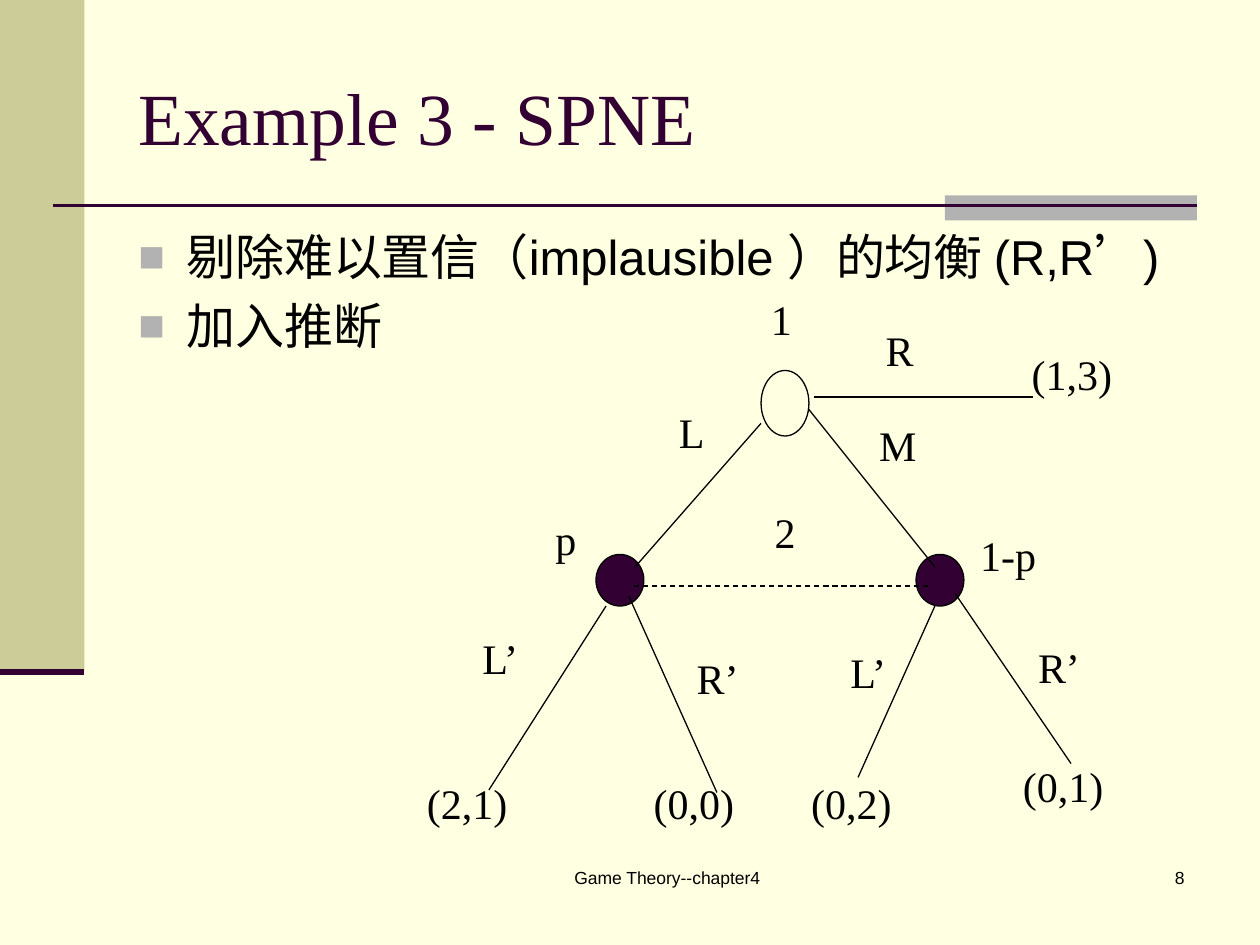
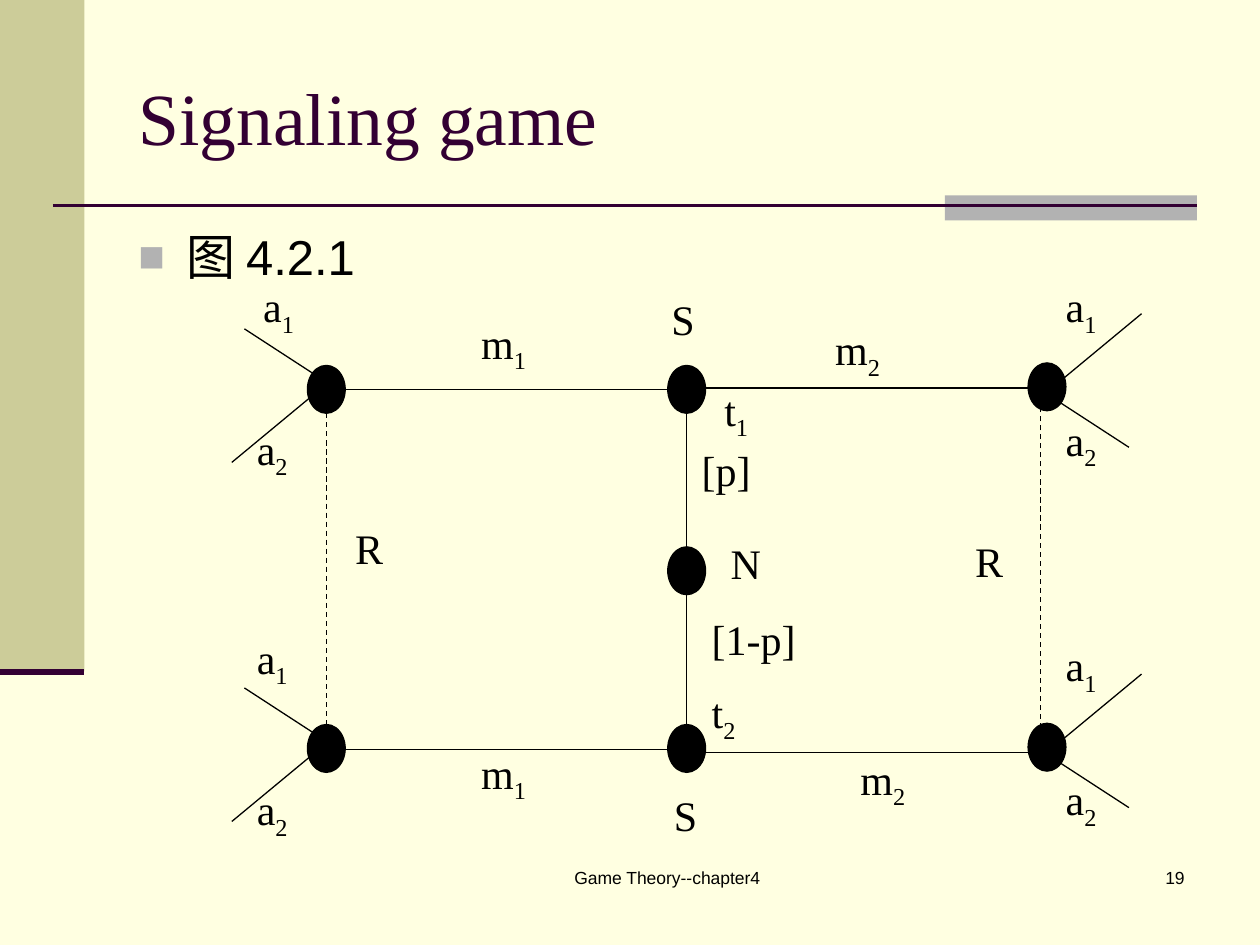
from dataclasses import dataclass

from lxml import etree
from pptx import Presentation
from pptx.dml.color import RGBColor
from pptx.enum.dml import MSO_LINE
from pptx.enum.shapes import MSO_CONNECTOR, MSO_SHAPE
from pptx.enum.text import MSO_ANCHOR, MSO_AUTO_SIZE, PP_ALIGN
from pptx.oxml.ns import qn
from pptx.util import Pt

EMU_PER_PX = 9144
STRAIGHT = MSO_CONNECTOR.STRAIGHT
RECTANGLE, ELLIPSE = MSO_SHAPE.RECTANGLE, MSO_SHAPE.OVAL
DASH = MSO_LINE.DASH
MIDDLE, TOP = MSO_ANCHOR.MIDDLE, MSO_ANCHOR.TOP
LEFT, CENTER, RIGHT = PP_ALIGN.LEFT, PP_ALIGN.CENTER, PP_ALIGN.RIGHT
FIT_SHAPE = MSO_AUTO_SIZE.SHAPE_TO_FIT_TEXT

CREAM, KHAKI, GREY = "FFFFE1", "CCCC99", "B2B2B2"
PLUM, BLACK = "330033", "000000"

TITLE = {"name": "Times New Roman", "size": Pt(42), "color": PLUM}
BODY = {"name": "Arial", "size": Pt(28), "color": BLACK}
FOOTER = {"name": "Arial", "size": Pt(10), "color": BLACK}
LABEL = {"name": "Times New Roman", "size": Pt(24), "color": BLACK}
SUBSCRIPT = "-25000"
LABEL_HEIGHT = 50
BULLET_INDENT = 38


@dataclass
class Box:
    """A region of the slide, in px."""
    left: int
    top: int
    width: int
    height: int

    def inner(self, x, y, width, height):
        """Return a box placed relative to this one."""
        return Box(self.left + x, self.top + y, width, height)

    def emu(self):
        """Return left, top, width and height in EMU."""
        return [px(value) for value in (self.left, self.top, self.width, self.height)]


PAGE = Box(0, 0, 1000, 750)
TITLE_BOX = Box(100, 30, 850, 125)
BODY_BOX = Box(100, 175, 850, 495)
FOOTER_BOX = Box(367, 683, 583, 50)
TREE_BOX = Box(329, 228, 564, 434)
SIGNALING_BOX = Box(184, 218, 722, 454)

TREE_NODES = [(275, 66, 52, None), (144, 212, 41, PLUM), (398, 212, 41, PLUM)]
TREE_LINES = [
    ((275, 108), (175, 222)), ((313, 97), (413, 222)), ((317, 87), (491, 87)),
    ((152, 253), (59, 399)), ((170, 245), (240, 401)),
    ((413, 253), (352, 389)), ((429, 243), (521, 378)),
]
INFORMATION_SET = ((174, 237), (409, 237))
TREE_LABELS = [
    ("1", 273, 0, 37), ("2", 276, 169, 37), ("p", 102, 175, 37), ("1-p", 439, 187, 65),
    ("L", 200, 90, 40), ("M", 359, 100, 50), ("R", 364, 25, 42),
    ("L’", 44, 269, 52), ("R’", 214, 285, 53), ("L’", 336, 280, 52), ("R’", 485, 276, 53),
    ("(2,1)", 0, 384, 84), ("(0,0)", 180, 384, 84), ("(0,2)", 305, 384, 84),
    ("(0,1)", 473, 371, 84), ("(1,3)", 480, 44, 84),
]

NODE_WIDTH, NODE_HEIGHT = 30, 38
SENDER_NODES = [(346, 72), (346, 216), (346, 357)]
LEFT_RECEIVERS = [(60, 72), (60, 357)]
RIGHT_RECEIVERS = [(632, 70), (632, 356)]
ACTION_BRANCHES = [((-50, -29), (10, 10)), ((10, 19), (-60, 77))]
MESSAGE_LINES = [
    ((351, 91), (80, 91)), ((351, 377), (80, 377)),
    ((371, 90), (642, 90)), ((371, 379), (652, 379)), ((361, 110), (361, 360)),
]
RECEIVER_SETS = [((75, 110), (75, 370)), ((642, 360), (642, 101))]
SIGNALING_LABELS = [
    ("S", 339, 10, 39), ("S", 341, 404, 39), ("N", 386, 204, 52),
    ("[p]", 363, 130, 59), ("[1-p]", 371, 264, 87), ("t_1", 381, 82, 40), ("t_2", 371, 322, 40),
    ("R", 88, 192, 42), ("R", 580, 202, 42),
    ("m_1", 188, 29, 57), ("m_1", 188, 370, 57), ("m_2", 469, 34, 57), ("m_2", 489, 375, 57),
    ("a_1", 15, 0, 46), ("a_2", 10, 113, 46), ("a_1", 10, 279, 46), ("a_2", 10, 399, 46),
    ("a_1", 652, 0, 46), ("a_2", 652, 106, 46), ("a_1", 652, 285, 46), ("a_2", 652, 391, 46),
]


def px(value):
    """Turn px into EMU."""
    return value * EMU_PER_PX


def rgb(value):
    """Turn a hex string into a colour."""
    return RGBColor.from_string(value)


def add_run(paragraph, text, style):
    """Append a run with the given font style."""
    run = paragraph.add_run()
    run.text = text
    for name, value in style.items():
        if name == "color":
            run.font.color.rgb = rgb(value)
        else:
            setattr(run.font, name, value)
    return run


def add_text_frame(shapes, box, **settings):
    """Add a text box and return its wrapping text frame."""
    frame = shapes.add_textbox(*box.emu()).text_frame
    for name, value in {"word_wrap": True, "vertical_anchor": TOP, **settings}.items():
        setattr(frame, name, value)
    return frame


def add_text(shapes, box, text, style, alignment=LEFT, anchor=TOP):
    """Add a text box with one paragraph."""
    paragraph = add_text_frame(shapes, box, vertical_anchor=anchor).paragraphs[0]
    paragraph.alignment = alignment
    add_run(paragraph, text, style)


def add_label(shapes, box, text):
    """Add a diagram label; what follows an underscore is a subscript."""
    frame = add_text_frame(shapes, box, word_wrap=False, auto_size=FIT_SHAPE)
    base, _, index = text.partition("_")
    add_run(frame.paragraphs[0], base, LABEL)
    if index:
        run = add_run(frame.paragraphs[0], index, LABEL)
        run._r.get_or_add_rPr().set("baseline", SUBSCRIPT)


def add_figure(shapes, kind, box, fill, line=None):
    """Add a preset shape with an optional fill and outline."""
    shape = shapes.add_shape(kind, *box.emu())
    shape.shadow.inherit = False
    if fill:
        shape.fill.solid()
        shape.fill.fore_color.rgb = rgb(fill)
    else:
        shape.fill.background()
    if line:
        shape.line.color.rgb = rgb(line)
        shape.line.width = Pt(0.75)
    else:
        shape.line.fill.background()


def add_line(shapes, box, start, end, color=BLACK, width=0.75, dash=None):
    """Add a straight line between two points of the box."""
    points = [px(value) for x, y in (start, end) for value in (box.left + x, box.top + y)]
    connector = shapes.add_connector(STRAIGHT, *points)
    connector.line.color.rgb = rgb(color)
    connector.line.width = Pt(width)
    if dash:
        connector.line.dash_style = dash
    etree.SubElement(connector._element.spPr, qn("a:effectLst"))


def add_bullet(paragraph):
    """Give the paragraph a grey square bullet and a hanging indent."""
    properties = paragraph._p.get_or_add_pPr()
    properties.set("marL", str(px(BULLET_INDENT)))
    properties.set("indent", str(-px(BULLET_INDENT)))
    color = etree.SubElement(properties, qn("a:buClr"))
    etree.SubElement(color, qn("a:srgbClr"), val=GREY)
    etree.SubElement(properties, qn("a:buSzPct"), val="90000")
    etree.SubElement(properties, qn("a:buFont"), typeface=BODY["name"])
    etree.SubElement(properties, qn("a:buChar"), char="■")


def add_frame(shapes, box):
    """Draw the side band and the title rule."""
    add_figure(shapes, RECTANGLE, box.inner(0, 0, 67, 533), KHAKI)
    add_figure(shapes, RECTANGLE, box.inner(750, 155, 200, 20), GREY)
    add_line(shapes, box, (42, 163), (950, 163), PLUM, 1.5)
    add_line(shapes, box, (0, 533), (67, 533), PLUM, 3.5)


def add_footer(shapes, box, number):
    """Add the chapter name and the slide number."""
    add_text(shapes, box.inner(0, 0, 325, box.height), "Game Theory--chapter4", FOOTER, CENTER)
    add_text(shapes, box.inner(375, 0, 208, box.height), str(number), FOOTER, RIGHT)


def add_body(shapes, box, items):
    """Add the bulleted list."""
    frame = add_text_frame(shapes, box)
    for index, item in enumerate(items):
        paragraph = frame.add_paragraph() if index else frame.paragraphs[0]
        paragraph.space_before = Pt(5.6)
        add_bullet(paragraph)
        add_run(paragraph, item, BODY)


def add_labels(shapes, box, labels):
    """Add every label of a diagram."""
    for text, x, y, width in labels:
        add_label(shapes, box.inner(x, y, width, LABEL_HEIGHT), text)


def add_game_tree(shapes, box):
    """Draw the game tree with its payoffs."""
    for x, y, height, fill in TREE_NODES:
        add_figure(shapes, ELLIPSE, box.inner(x, y, 38, height), fill, BLACK)
    for start, end in TREE_LINES:
        add_line(shapes, box, start, end)
    add_line(shapes, box, *INFORMATION_SET, dash=DASH)
    add_labels(shapes, box, TREE_LABELS)


def half_turn(point):
    """Turn a point about the centre of a node."""
    return NODE_WIDTH - point[0], NODE_HEIGHT - point[1]


def add_signaling_game(shapes, box):
    """Draw the signaling game with its four receiver nodes."""
    for x, y in SENDER_NODES + LEFT_RECEIVERS + RIGHT_RECEIVERS:
        node = box.inner(x, y, NODE_WIDTH, NODE_HEIGHT)
        add_figure(shapes, ELLIPSE, node, BLACK, BLACK)
        if (x, y) in SENDER_NODES:
            continue
        for branch in ACTION_BRANCHES:
            points = map(half_turn, branch) if (x, y) in RIGHT_RECEIVERS else branch
            add_line(shapes, node, *points)
    for start, end in MESSAGE_LINES:
        add_line(shapes, box, start, end)
    for start, end in RECEIVER_SETS:
        add_line(shapes, box, start, end, dash=DASH)
    add_labels(shapes, box, SIGNALING_LABELS)


def add_game_slide(presentation, number, title, items, draw_game, game_box):
    """Add a slide with a title, a list and a grouped game diagram."""
    slide = presentation.slides.add_slide(presentation.slide_layouts[6])
    add_frame(slide.shapes, PAGE)
    add_footer(slide.shapes, FOOTER_BOX, number)
    add_text(slide.shapes, TITLE_BOX, title, TITLE, anchor=MIDDLE)
    add_body(slide.shapes, BODY_BOX, items)
    draw_game(slide.shapes.add_group_shape().shapes, game_box)


def main():
    """Build and save the presentation."""
    presentation = Presentation()
    presentation.slide_width, presentation.slide_height = px(PAGE.width), px(PAGE.height)
    background = presentation.slide_master.background.fill
    background.solid()
    background.fore_color.rgb = rgb(CREAM)
    add_game_slide(presentation, 8, "Example 3 - SPNE",
                   ["剔除难以置信（implausible ）的均衡 (R,R’)", "加入推断"],
                   add_game_tree, TREE_BOX)
    add_game_slide(presentation, 19, "Signaling game", ["图 4.2.1"],
                   add_signaling_game, SIGNALING_BOX)
    presentation.save("out.pptx")


if __name__ == "__main__":
    main()
